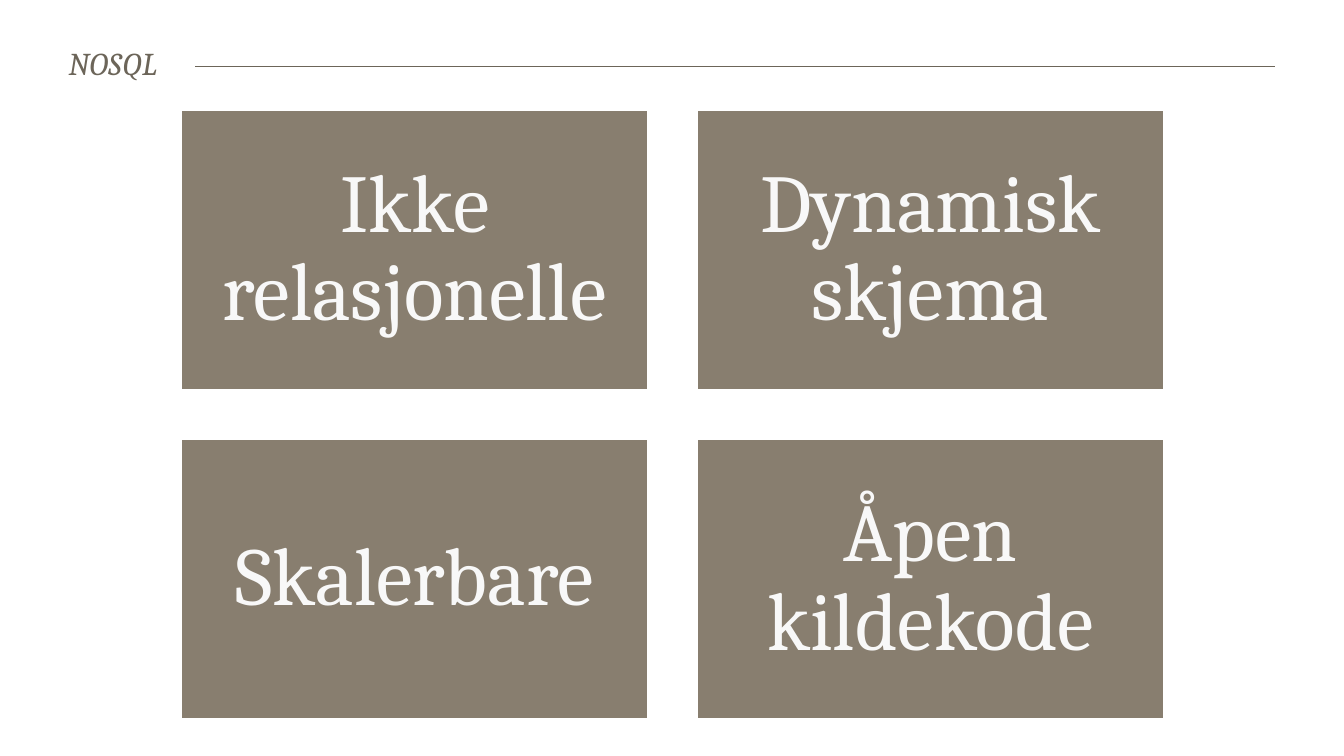
from dataclasses import dataclass

from lxml import etree
from pptx import Presentation
from pptx import util as u
from pptx.dml.color import RGBColor
from pptx.enum import shapes, text
from pptx.oxml.ns import qn

WHITE = RGBColor(0xFF, 0xFF, 0xFF)
PALE = RGBColor(0xF8, 0xF8, 0xF8)
TAUPE = RGBColor(0x88, 0x7E, 0x6F)
BROWN = RGBColor(0x6C, 0x65, 0x59)
FONT = "Cambria"

WIDE = 10
HIGH = WIDE * 9 / 16
LEFT, TOP = 1.34, 0.81
CARD_W, CARD_H = 3.49, 2.1
STEP_X, STEP_Y = 3.84, 2.45


@dataclass
class Card:
    label: str
    col: int
    row: int


CARDS = [
    Card("Ikke relasjonelle", 0, 0),
    Card("Dynamisk skjema", 1, 0),
    Card("Skalerbare", 0, 1),
    Card("Åpen kildekode", 1, 1),
]


def write(shape, words: str, *, size: float, color: RGBColor, align,
          pad: tuple[float, float], italic: bool = False,
          lead: float = 1.0, track: int = 0) -> None:
    """Fill a shape with one paragraph; pad is (side, top and bottom) in inches."""
    frame = shape.text_frame
    frame.word_wrap = True
    frame.auto_size = text.MSO_AUTO_SIZE.NONE
    frame.vertical_anchor = text.MSO_ANCHOR.MIDDLE
    frame.margin_left = frame.margin_right = u.Inches(pad[0])
    frame.margin_top = frame.margin_bottom = u.Inches(pad[1])
    para = frame.paragraphs[0]
    para.alignment = align
    para.line_spacing = lead
    run = para.add_run()
    run.text = words
    font = run.font
    font.name, font.size, font.italic = FONT, u.Pt(size), italic
    font.color.rgb = color
    if track:
        font._element.set("spc", str(track))


def add_rule(slide) -> None:
    """Draw the header line behind the title."""
    y = u.Inches(0.49)
    rule = slide.shapes.add_connector(
        shapes.MSO_CONNECTOR.STRAIGHT, u.Inches(0.53), y, u.Inches(9.49), y)
    rule.line.color.rgb = BROWN
    rule.line.width = u.Pt(0.2)
    etree.SubElement(rule._element.spPr, qn("a:effectLst"))
    slide.shapes.title._element.addprevious(rule._element)


def add_title(slide, words: str) -> None:
    title = slide.shapes.title
    title.left, title.top = u.Inches(0.41), u.Inches(0.32)
    title.width, title.height = u.Inches(1.04), u.Inches(0.29)
    title.fill.solid()
    title.fill.fore_color.rgb = WHITE
    write(title, words, size=17, color=BROWN, align=text.PP_ALIGN.LEFT,
          pad=(0.1, 0), italic=True, track=20)


def add_card(slide, card: Card) -> None:
    box = slide.shapes.add_shape(
        shapes.MSO_SHAPE.RECTANGLE,
        u.Inches(LEFT + card.col * STEP_X), u.Inches(TOP + card.row * STEP_Y),
        u.Inches(CARD_W), u.Inches(CARD_H))
    box.shadow.inherit = False
    box.fill.solid()
    box.fill.fore_color.rgb = TAUPE
    box.line.color.rgb = WHITE
    box.line.width = u.Pt(2)
    write(box, card.label, size=44, color=PALE, align=text.PP_ALIGN.CENTER,
          pad=(0.18, 0.18), lead=0.9)


def main() -> None:
    deck = Presentation()
    deck.slide_width, deck.slide_height = u.Inches(WIDE), u.Inches(HIGH)
    slide = deck.slides.add_slide(deck.slide_layouts[5])
    add_rule(slide)
    add_title(slide, "NOSQL")
    for card in CARDS:
        add_card(slide, card)
    deck.save("out.pptx")


if __name__ == "__main__":
    main()
